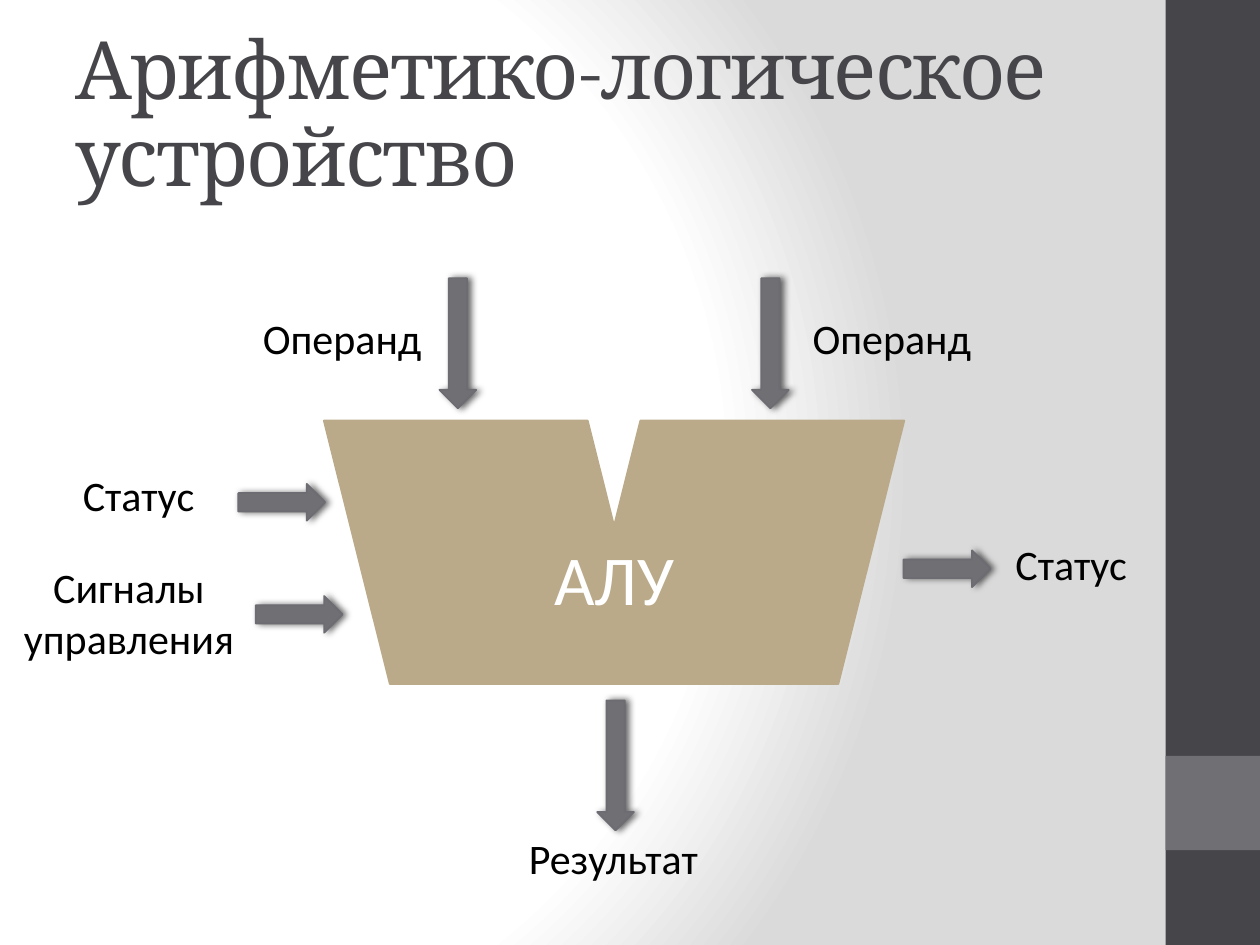
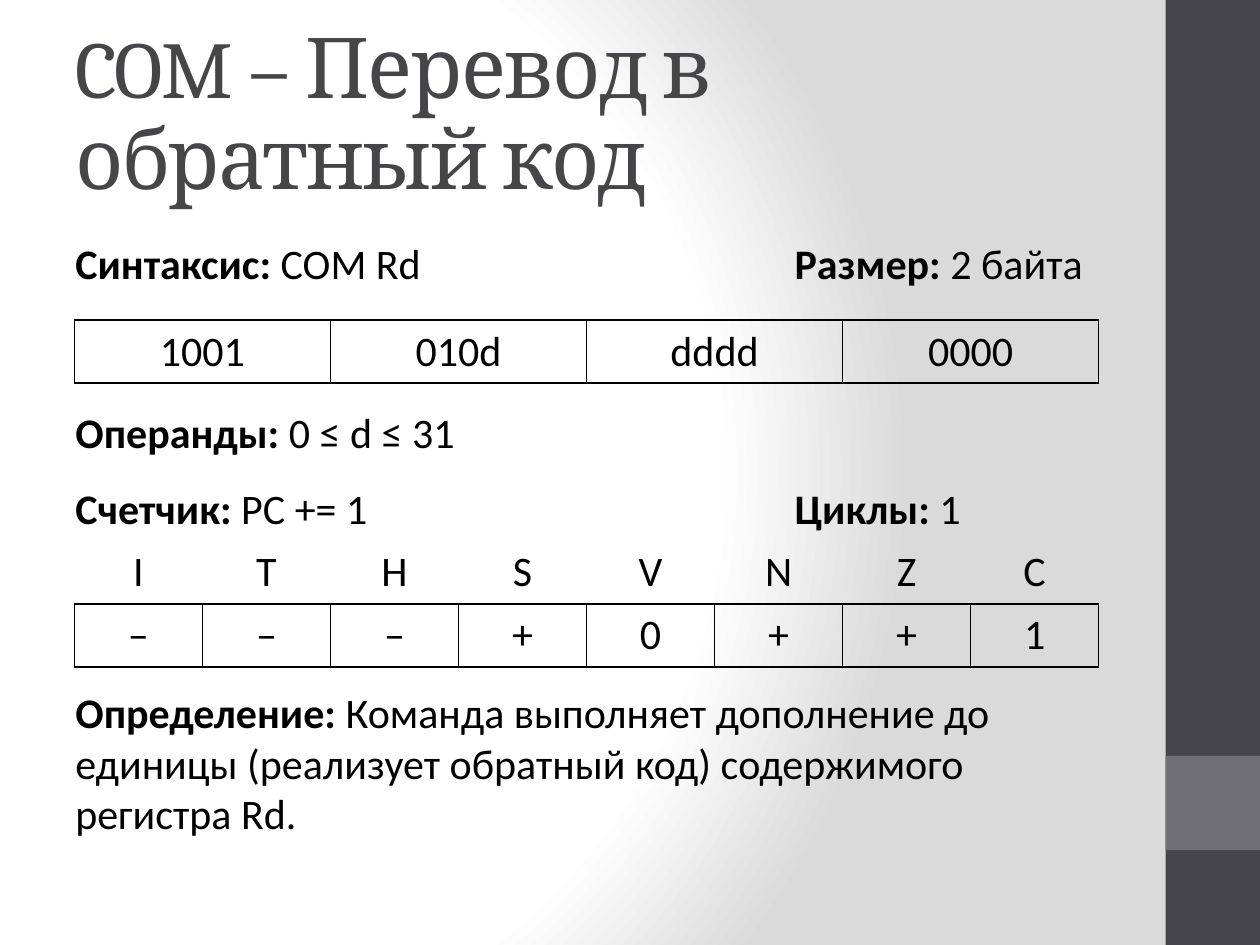
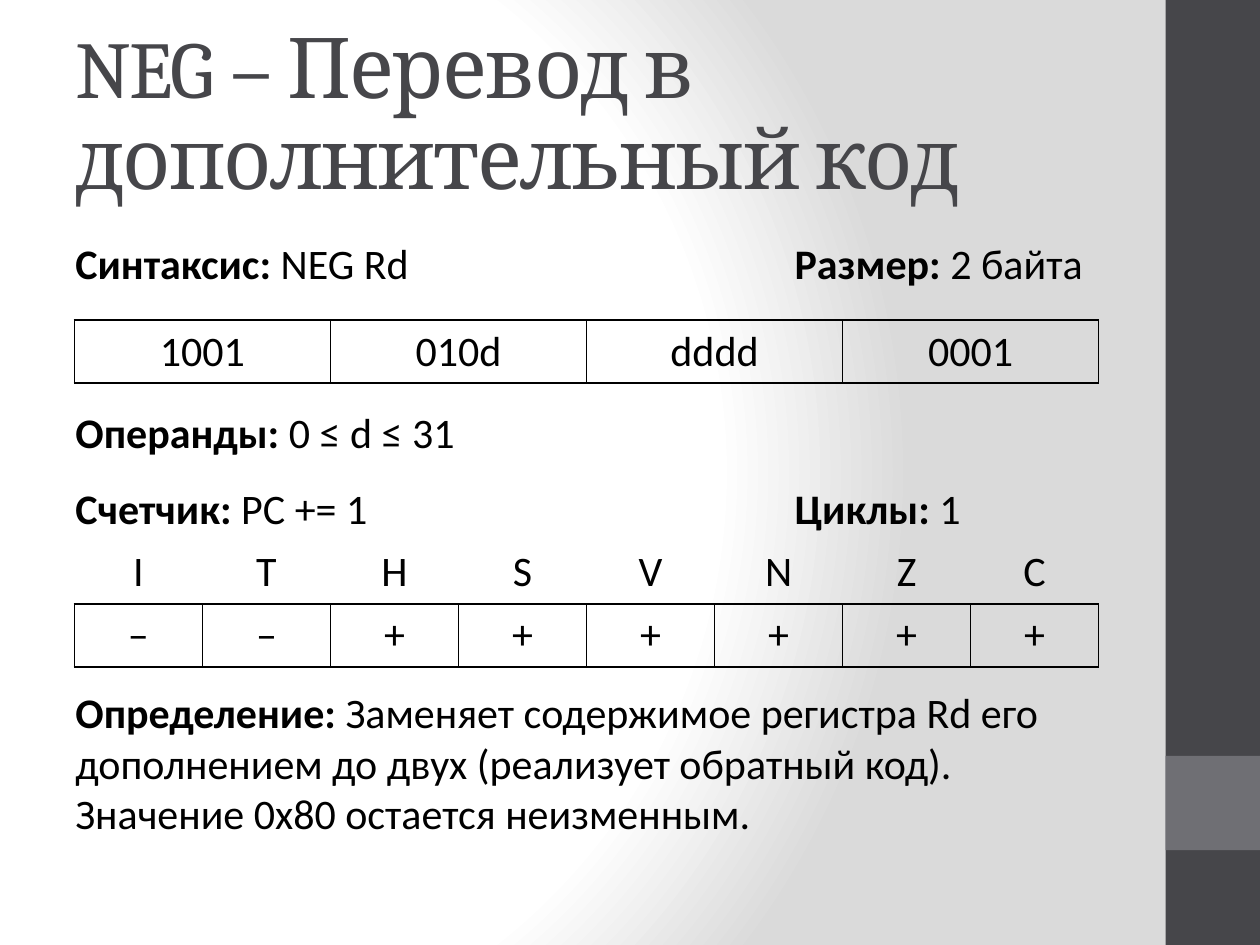
"""Build three slides on the arithmetic logic unit and two of its instructions."""
from pptx import Presentation
from pptx.dml.color import RGBColor
from pptx.enum.shapes import MSO_SHAPE
from pptx.enum.text import MSO_ANCHOR, MSO_AUTO_SIZE, PP_ALIGN
from pptx.oxml import parse_xml
from pptx.oxml.ns import nsdecls, qn
from pptx.util import Cm, Pt

RECTANGLE = MSO_SHAPE.RECTANGLE
DOWN_ARROW = MSO_SHAPE.DOWN_ARROW
PARALLELOGRAM = MSO_SHAPE.FLOWCHART_DATA
MIDDLE = MSO_ANCHOR.MIDDLE
GROW = MSO_AUTO_SIZE.SHAPE_TO_FIT_TEXT
LEFT, CENTER = PP_ALIGN.LEFT, PP_ALIGN.CENTER

DARK = RGBColor(0x46, 0x46, 0x4A)
GRAY = RGBColor(0x6F, 0x6F, 0x74)
ARROW_LINE = RGBColor(0x6C, 0x6C, 0x72)
SAND = RGBColor(0xBB, 0xAA, 0x8A)
BLACK = RGBColor(0, 0, 0)
WHITE = RGBColor(0xFF, 0xFF, 0xFF)

TITLE_FONT, BODY_FONT = "Cambria", "Calibri"
BODY_SIZE = 24
SLIDE_WIDTH, SLIDE_HEIGHT = 25.4, 19.05
TITLE_BOX = (1.27, 0.76, 21.16, 3.18)
BANDS = [((23.5, 0, 1.9, SLIDE_HEIGHT), DARK), ((23.5, 15.24, 1.9, 1.9), GRAY)]
NO_STYLE = "{2D5ABB26-0587-4C30-8999-92F81FD0307C}"

ALU_TITLE = "Арифметико-логическое устройство"
ALU_HALVES = [(11.58, False), (6.53, True)]
ALU_TOP, ALU_HALF_WIDTH, ALU_HEIGHT = 8.48, 6.65, 5.31
ARROW_WIDTH = 0.74
ARROWS = [
    (8.86, 5.61, 2.62, 0),
    (15.16, 5.61, 2.62, 0),
    (12.04, 14.12, 2.62, 0),
    (5.31, 9.25, 1.75, 270),
    (5.66, 11.51, 1.75, 270),
    (18.72, 10.59, 1.75, 270),
]
LABELS = [
    ("Операнд", (5.05, 6.17, 3.73, 1.27), BODY_SIZE, BLACK, LEFT),
    ("Операнд", (16.13, 6.17, 3.73, 1.27), BODY_SIZE, BLACK, LEFT),
    ("Статус", (20.22, 10.74, 2.79, 1.27), BODY_SIZE, BLACK, LEFT),
    ("Статус", (1.42, 9.35, 2.79, 1.27), BODY_SIZE, BLACK, LEFT),
    ("Сигналы\vуправления", (0.2, 11.2, 4.8, 2.31), BODY_SIZE, BLACK, CENTER),
    ("Результат", (10.41, 16.66, 4.06, 1.27), BODY_SIZE, BLACK, LEFT),
    ("АЛУ", (10.92, 10.67, 2.97, 1.96), 40, WHITE, LEFT),
]

FLAGS = list("ITHSVNZC")
INSTRUCTIONS = [
    {
        "name": "COM",
        "meaning": "Перевод в обратный код",
        "opcode": ["1001", "010d", "dddd", "0000"],
        "flags": list("–––+0++1"),
        "definition": "Команда выполняет дополнение до единицы (реализует "
                      "обратный код) содержимого регистра Rd.",
    },
    {
        "name": "NEG",
        "meaning": "Перевод в дополнительный код",
        "opcode": ["1001", "010d", "dddd", "0001"],
        "flags": list("––++++++"),
        "definition": "Заменяет содержимое регистра Rd его дополнением до двух "
                      "(реализует обратный код). Значение 0x80 остается неизменным.",
    },
]
TEXT_LEFT, SECOND_LEFT, FULL_WIDTH = 1.27, 15.77, 21.16
TABLE_LEFT, TABLE_WIDTH, ROW_HEIGHT = 1.5, 20.65, 1.27
OPCODE_TOP, FLAGS_TOP = 6.45, 10.9


def lengths(box):
    return [Cm(value) for value in box]


def style_run(run, size, color, font=BODY_FONT, bold=False):
    run.font.name = font
    run.font.size = Pt(size)
    run.font.color.rgb = color
    run.font.bold = bold


def paint(shape, fill, line=None):
    shape.shadow.inherit = False
    shape.fill.solid()
    shape.fill.fore_color.rgb = fill
    if line is None:
        shape.line.fill.background()
    else:
        shape.line.color.rgb = line
        shape.line.width = Pt(1)


def add_text(slide, box, parts, wrap=False, align=LEFT):
    text_frame = slide.shapes.add_textbox(*lengths(box)).text_frame
    text_frame.word_wrap = wrap
    text_frame.auto_size = GROW
    paragraph = text_frame.paragraphs[0]
    paragraph.alignment = align
    for text, size, color, bold in parts:
        paragraph.text = paragraph.text + text if not paragraph.runs else paragraph.text
        run = paragraph.add_run()
        run.text = text
        style_run(run, size, color, bold=bold)


def add_label(slide, text, box, size, color, align):
    text_frame = slide.shapes.add_textbox(*lengths(box)).text_frame
    text_frame.word_wrap = False
    text_frame.auto_size = GROW
    text_frame.text = text
    paragraph = text_frame.paragraphs[0]
    paragraph.alignment = align
    for run in paragraph.runs:
        style_run(run, size, color)


def add_field(slide, caption, value, box, wrap=False):
    text_frame = slide.shapes.add_textbox(*lengths(box)).text_frame
    text_frame.word_wrap = wrap
    text_frame.auto_size = GROW
    for text, bold in ((f"{caption}: ", True), (value, False)):
        run = text_frame.paragraphs[0].add_run()
        run.text = text
        style_run(run, BODY_SIZE, BLACK, bold=bold)


def add_title(slide, parts):
    text_frame = slide.shapes.add_textbox(*lengths(TITLE_BOX)).text_frame
    text_frame.word_wrap = True
    text_frame.vertical_anchor = MIDDLE
    paragraph = text_frame.paragraphs[0]
    paragraph.line_spacing = 0.9
    for text, size in parts:
        run = paragraph.add_run()
        run.text = text
        style_run(run, size, DARK, TITLE_FONT)
        run.font._element.set("spc", "-100")


def add_arrow(slide, left, top, length, rotation):
    arrow = slide.shapes.add_shape(DOWN_ARROW, *lengths((left, top, ARROW_WIDTH, length)))
    arrow.rotation = rotation
    paint(arrow, GRAY, ARROW_LINE)
    arrow.element.spPr.find(qn("a:effectLst")).append(parse_xml(
        f'<a:outerShdw {nsdecls("a")} blurRad="50800" dist="25400" dir="0" rotWithShape="0">'
        '<a:srgbClr val="000000"><a:alpha val="60000"/></a:srgbClr></a:outerShdw>'))


def add_border(cell, sides):
    properties = cell._tc.get_or_add_tcPr()
    for index, side in enumerate(sides):
        properties.insert(index, parse_xml(
            f'<a:ln{side} {nsdecls("a")} w="12700"><a:solidFill>'
            f'<a:srgbClr val="{BLACK}"/></a:solidFill></a:ln{side}>'))


def add_grid(slide, top, rows):
    """Draw rows of equal cells; only the last row is boxed on all sides."""
    box = (TABLE_LEFT, top, TABLE_WIDTH, ROW_HEIGHT * len(rows))
    table = slide.shapes.add_table(len(rows), len(rows[0]), *lengths(box)).table
    table.first_row = table.horz_banding = False
    table._tbl.tblPr.find(qn("a:tableStyleId")).text = NO_STYLE
    for row_index, row in enumerate(rows):
        for column_index, text in enumerate(row):
            cell = table.cell(row_index, column_index)
            cell.text = text
            cell.fill.background()
            paragraph = cell.text_frame.paragraphs[0]
            paragraph.alignment = CENTER
            style_run(paragraph.runs[0], BODY_SIZE, BLACK)
            add_border(cell, "LRTB" if row_index == len(rows) - 1 else "B")


def prepare_layout(layout, slide):
    for placeholder in list(layout.placeholders):
        layout.shapes.element.remove(placeholder.element)
    stops = "".join(
        f'<a:gs pos="{position}000"><a:srgbClr val="{color}"/></a:gs>'
        for position, color in ((0, "FFFFFF"), (75, "FFFFFF"), (100, "DADADA")))
    layout.element.cSld.insert(0, parse_xml(
        f'<p:bg {nsdecls("p", "a")}><p:bgPr><a:gradFill rotWithShape="1"><a:gsLst>{stops}'
        '</a:gsLst><a:path path="circle"><a:fillToRect l="20000" t="50000" r="100000" '
        'b="50000"/></a:path></a:gradFill><a:effectLst/></p:bgPr></p:bg>'))
    for box, color in BANDS:
        band = slide.shapes.add_shape(RECTANGLE, *lengths(box))
        paint(band, color)
        band.element.nvSpPr.cNvPr.set("id", str(len(layout.shapes) + 2))
        layout.shapes.element.append(band.element)


def build_alu(slide):
    add_title(slide, [(ALU_TITLE, 46)])
    group = slide.shapes.add_group_shape()
    for left, flipped in ALU_HALVES:
        box = (left, ALU_TOP, ALU_HALF_WIDTH, ALU_HEIGHT)
        half = group.shapes.add_shape(PARALLELOGRAM, *lengths(box))
        paint(half, SAND, SAND)
        if flipped:
            half.element.spPr.xfrm.set("flipH", "1")
    for arrow in ARROWS:
        add_arrow(slide, *arrow)
    for label in LABELS:
        add_label(slide, *label)


def build_instruction(slide, instruction):
    name = instruction["name"]
    add_title(slide, [(f"{name} ", 46), (f"– {instruction['meaning']}", 48)])
    add_field(slide, "Определение", instruction["definition"],
              (TEXT_LEFT, 13.72, FULL_WIDTH, 3.33), wrap=True)
    add_field(slide, "Синтаксис", f"{name} Rd", (TEXT_LEFT, 4.67, 7.5, ROW_HEIGHT))
    add_field(slide, "Размер", "2 байта", (SECOND_LEFT, 4.67, 6.38, ROW_HEIGHT))
    add_grid(slide, OPCODE_TOP, [instruction["opcode"]])
    add_field(slide, "Счетчик", "PC += 1", (TEXT_LEFT, 9.6, 6.65, ROW_HEIGHT))
    add_field(slide, "Операнды", "0 ≤ d ≤ 31",
              (TEXT_LEFT, 8.08, FULL_WIDTH, ROW_HEIGHT), wrap=True)
    add_grid(slide, FLAGS_TOP, [FLAGS, instruction["flags"]])
    add_field(slide, "Циклы", "1", (SECOND_LEFT, 9.6, 3.89, ROW_HEIGHT))


presentation = Presentation()
presentation.slide_width = Cm(SLIDE_WIDTH)
presentation.slide_height = Cm(SLIDE_HEIGHT)
blank_layout = presentation.slide_layouts[6]
alu_slide = presentation.slides.add_slide(blank_layout)
prepare_layout(blank_layout, alu_slide)
build_alu(alu_slide)
for item in INSTRUCTIONS:
    build_instruction(presentation.slides.add_slide(blank_layout), item)
presentation.save("out.pptx")
